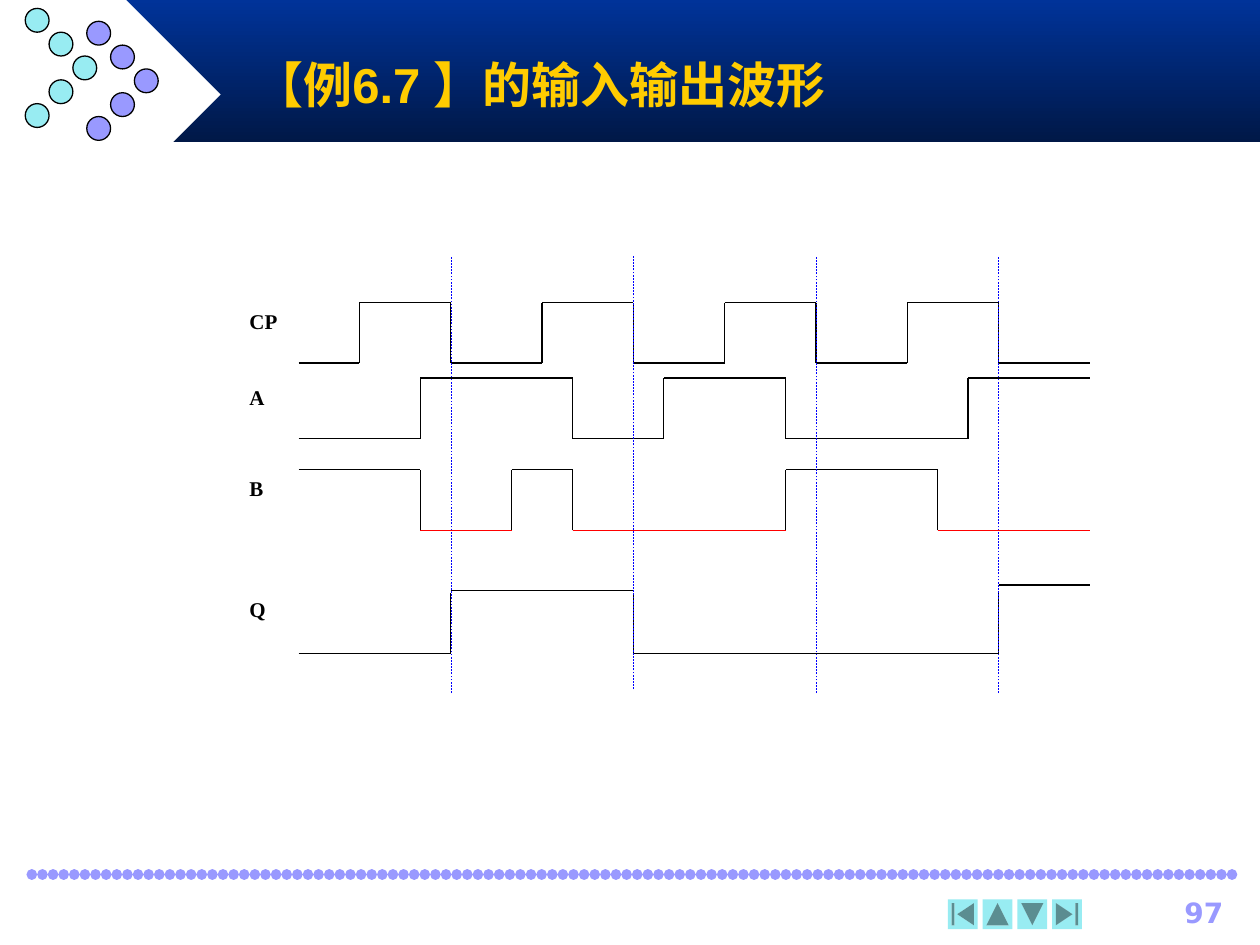
import lxml.etree
import pptx
import pptx.dml.color
import pptx.enum.dml
import pptx.enum.shapes
import pptx.enum.text
import pptx.oxml
import pptx.oxml.ns
import pptx.util

Cm = pptx.util.Cm
Shapes = pptx.enum.shapes.MSO_SHAPE
Align = pptx.enum.text.PP_ALIGN
Anchor = pptx.enum.text.MSO_ANCHOR

COLORS = {
    "navy": "003399", "midnight": "001847", "white": "FFFFFF", "black": "000000",
    "violet": "9999FF", "aqua": "98ECF2", "gold": "FFCC00", "red": "FF0000", "blue": "0000FF",
}

FORMATS = {
    "title": {"size": pptx.util.Pt(28), "name": "Arial", "bold": True},
    "number": {"size": pptx.util.Pt(16), "name": "DejaVu Sans", "bold": True},
    "signal": {"size": pptx.util.Pt(12), "name": "Times New Roman", "bold": True},
}

TITLE = "【例6.7 】的输入输出波形"
PAGE_NUMBER = "97"

SIGNALS = [
    {"name": "CP", "high": 6.1, "low": 7.32, "starts_high": False, "low_color": "black",
     "ticks": [0, 2, 5, 8, 11, 14, 17, 20, 23, 26]},
    {"name": "A", "high": 7.62, "low": 8.84, "starts_high": False, "low_color": "black",
     "ticks": [0, 4, 9, 12, 16, 22, 26]},
    {"name": "B", "high": 9.47, "low": 10.69, "starts_high": True, "low_color": "red",
     "ticks": [0, 4, 7, 9, 16, 21, 26]},
    {"name": "Q", "high": 11.91, "low": 13.18, "starts_high": False, "low_color": "black",
     "ticks": [0, 5, 11, 23, 26], "edge_top": 11.96, "last_high": 11.79},
]
FALLING_EDGES = [(5, 13.97), (11, 13.89), (17, 13.97), (23, 13.97)]
GUIDE_TOP = 5.16

WAVE_LEFT, WAVE_WIDTH, TICK_COUNT = 6.02, 15.95, 26

DOT_SIZE, DOT_STEP = 0.48, 0.48
DOT_CHEVRONS = [("violet", 1.75, 0.43), ("aqua", 0.51, 0.17)]
CHEVRON_COLUMNS = [0, 1, 2, 1, 0]

NAVIGATION = [
    (Shapes.ACTION_BUTTON_BEGINNING, 0),
    (Shapes.ACTION_BUTTON_BACK_OR_PREVIOUS, 90),
    (Shapes.ACTION_BUTTON_FORWARD_OR_NEXT, 90),
    (Shapes.ACTION_BUTTON_END, 0),
]
BUTTON_LEFT, BUTTON_TOP, BUTTON_SIZE, BUTTON_STEP = 19.11, 18.13, 0.6, 0.7


def rgb(color):
    return pptx.dml.color.RGBColor.from_string(COLORS[color])


def add_figure(slide, kind, left, top, width, height, fill, outline=None):
    figure = slide.shapes.add_shape(kind, Cm(left), Cm(top), Cm(width), Cm(height))
    figure.shadow.inherit = False
    figure.fill.solid()
    figure.fill.fore_color.rgb = rgb(fill)
    if outline:
        figure.line.color.rgb = rgb(outline)
        figure.line.width = pptx.util.Pt(0.75)
    else:
        figure.line.fill.background()
    return figure


def add_line(slide, x1, y1, x2, y2, color="black", width=0.75):
    line = slide.shapes.add_connector(
        pptx.enum.shapes.MSO_CONNECTOR.STRAIGHT, Cm(x1), Cm(y1), Cm(x2), Cm(y2))
    line.line.color.rgb = rgb(color)
    line.line.width = pptx.util.Pt(width)
    lxml.etree.SubElement(line._element.spPr, pptx.oxml.ns.qn("a:effectLst"))
    return line


def add_text(slide, text, left, top, width, height, style, color,
             align=Align.LEFT, anchor=Anchor.TOP):
    frame = slide.shapes.add_textbox(Cm(left), Cm(top), Cm(width), Cm(height)).text_frame
    frame.word_wrap = True
    frame.vertical_anchor = anchor
    paragraph = frame.paragraphs[0]
    paragraph.alignment = align
    run = paragraph.add_run()
    run.text = text
    for attribute, value in FORMATS[style].items():
        setattr(run.font, attribute, value)
    run.font.color.rgb = rgb(color)


def add_banner(slide):
    banner = add_figure(slide, Shapes.RECTANGLE, 2.54, 0, 22.86, 2.87, "navy")
    banner.fill.gradient()
    banner.fill.gradient_angle = 270
    for stop, color in zip(banner.fill.gradient_stops, ["navy", "midnight"]):
        stop.color.rgb = rgb(color)
    add_figure(slide, Shapes.DIAMOND, 0.64, 0, 3.81, 3.81, "white")
    for color, left, top in DOT_CHEVRONS:
        for row, column in enumerate(CHEVRON_COLUMNS):
            add_figure(slide, Shapes.OVAL, left + column * DOT_STEP, top + row * DOT_STEP,
                       DOT_SIZE, DOT_SIZE, color, "black")
    add_text(slide, TITLE, 4.88, 0.84, 19.05, 1.7, "title", "gold", anchor=Anchor.MIDDLE)


def add_footer(slide):
    rule = add_line(slide, 0.64, 17.63, 24.97, 17.63, "violet", 6)
    outline = rule.line._get_or_add_ln()
    outline.set("cap", "rnd")
    outline.append(pptx.oxml.parse_xml(
        f'<a:custDash {pptx.oxml.ns.nsdecls("a")}><a:ds d="1000" sp="100000"/></a:custDash>'))
    for place, (kind, rotation) in enumerate(NAVIGATION):
        button = add_figure(slide, kind, BUTTON_LEFT + place * BUTTON_STEP, BUTTON_TOP,
                            BUTTON_SIZE, BUTTON_SIZE, "aqua")
        button.rotation = rotation
    add_text(slide, PAGE_NUMBER, 22.5, 17.93, 2.41, 0.84, "number", "violet", Align.RIGHT)


def tick_x(tick):
    return WAVE_LEFT + tick * WAVE_WIDTH / TICK_COUNT


def add_signal(slide, signal):
    high, low, ticks = signal["high"], signal["low"], signal["ticks"]
    add_text(slide, signal["name"], 4.78, high, 2.16, 1.17, "signal", "black")
    is_high = signal["starts_high"]
    for start, end in zip(ticks, ticks[1:]):
        level = high if is_high else low
        if is_high and end == TICK_COUNT:
            level = signal.get("last_high", high)
        color = "black" if is_high else signal["low_color"]
        add_line(slide, tick_x(start), level, tick_x(end), level, color)
        is_high = not is_high
    for tick in ticks[1:-1]:
        add_line(slide, tick_x(tick), low, tick_x(tick), signal.get("edge_top", high))


def main():
    deck = pptx.Presentation()
    deck.slide_width, deck.slide_height = Cm(25.4), Cm(19.05)
    slide = deck.slides.add_slide(deck.slide_layouts[6])
    add_banner(slide)
    add_footer(slide)
    for signal in SIGNALS:
        add_signal(slide, signal)
    for tick, bottom in FALLING_EDGES:
        guide = add_line(slide, tick_x(tick), bottom, tick_x(tick), GUIDE_TOP, "blue", 0.25)
        guide.line.dash_style = pptx.enum.dml.MSO_LINE.DASH
    deck.save("out.pptx")


if __name__ == "__main__":
    main()
